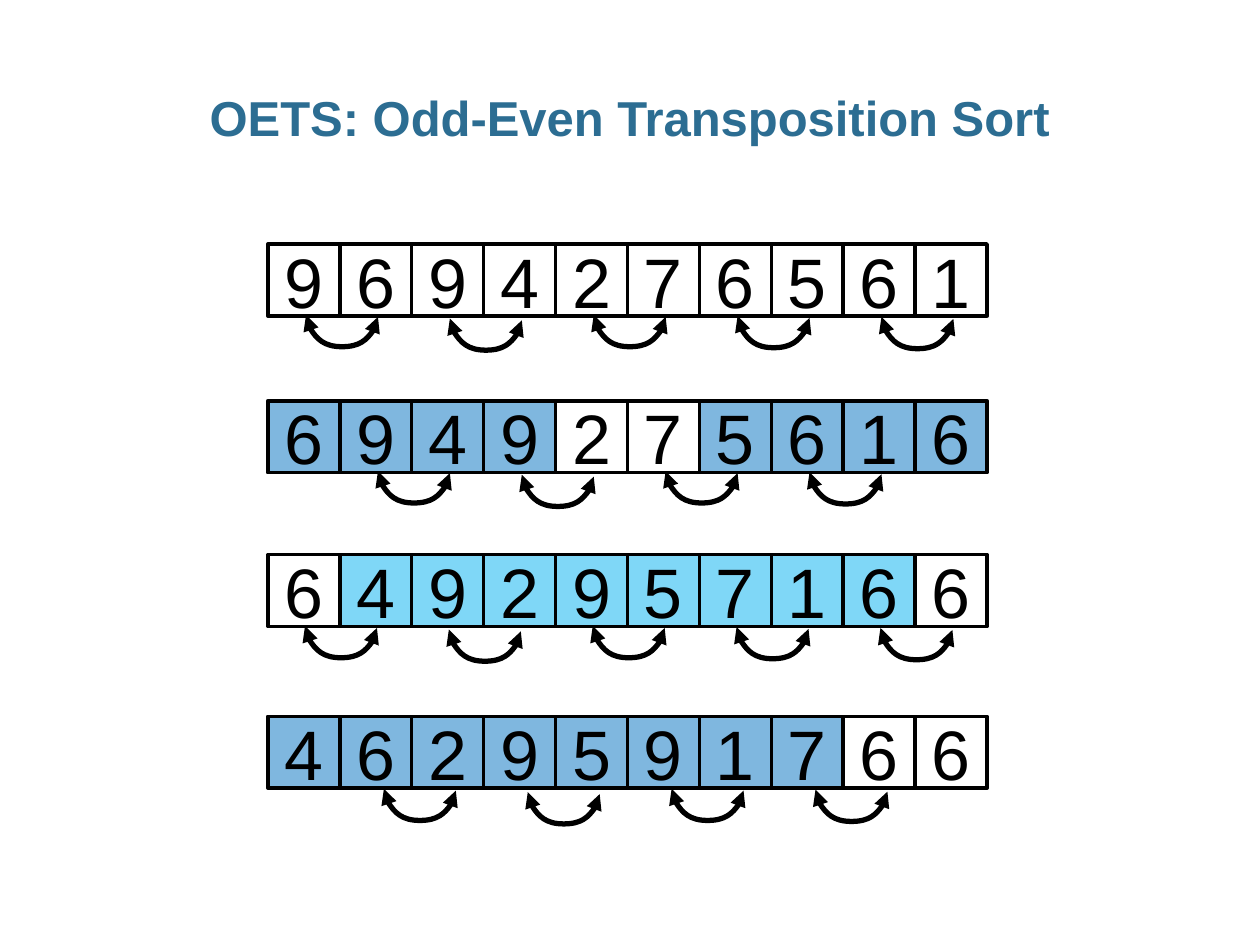
from dataclasses import dataclass

import pptx
import pptx.dml.color
import pptx.enum.shapes
import pptx.enum.text
import pptx.oxml
import pptx.oxml.ns
import pptx.util
from pptx.util import Cm

FONT = "Arial"
BLACK = "000000"
BLUE = "0070C0"
CYAN = "00B0F0"

CELL = 1.45          # side of an array cell, cm
ARRAY_LEFT = 5.4
ARC_RISE = 0.04      # how much lower an arc ends than it starts
ARC_DEPTH = 0.64
ARC_DROPS = (0, 0.07, 0, 0.02, 0.04)


@dataclass
class Phase:
    """One state of the array and the comparisons made on it (cm)."""
    values: str
    top: float
    swapped: range
    colour: str
    arc_left: float
    arc_top: float
    arc_count: int


PHASES = (
    Phase("9694276561", 4.92, range(0), BLUE, 6.17, 6.35, 5),
    Phase("6949275616", 8.08, range(10), BLUE, 7.62, 9.5, 4),
    Phase("6492957166", 11.18, range(1, 9), CYAN, 6.15, 12.62, 5),
    Phase("4629591766", 14.44, range(8), BLUE, 7.74, 15.9, 4),
)
UNSWAPPED = {("6949275616", 4), ("6949275616", 5)}


def rgb(colour: str) -> pptx.dml.color.RGBColor:
    return pptx.dml.color.RGBColor.from_string(colour)


def add_run(paragraph, text: str, size: float, colour: str, bold: bool = False) -> None:
    run = paragraph.add_run()
    run.text = text
    run.font.name = FONT
    run.font.size = pptx.util.Pt(size)
    run.font.bold = bold
    run.font.color.rgb = rgb(colour)
    paragraph.alignment = pptx.enum.text.PP_ALIGN.CENTER


def add_title(slide, text: str) -> None:
    title = slide.shapes.add_textbox(Cm(0.87), Cm(1.73), Cm(23.65), Cm(1.27))
    frame = title.text_frame
    frame.word_wrap = True
    frame.margin_left = frame.margin_right = 0
    frame.paragraphs[0].line_spacing = 0.95
    add_run(frame.paragraphs[0], text, 28, "2C6D92", bold=True)


def add_cell(slide, left: float, top: float, value: str, colour: str | None) -> None:
    cell = slide.shapes.add_shape(pptx.enum.shapes.MSO_SHAPE.RECTANGLE,
                                  Cm(left), Cm(top), Cm(CELL), Cm(CELL))
    cell.shadow.inherit = False
    cell.line.color.rgb = rgb(BLACK)
    cell.line.width = pptx.util.Pt(2)
    if colour is None:
        cell.fill.background()
    else:
        cell.fill.solid()
        cell.fill.fore_color.rgb = rgb(colour)
        # Half transparent
        tint = cell._element.spPr.find(
            pptx.oxml.ns.qn("a:solidFill") + "/" + pptx.oxml.ns.qn("a:srgbClr"))
        add_child(tint, "a:alpha", val="50000")
    cell.text_frame.vertical_anchor = pptx.enum.text.MSO_ANCHOR.MIDDLE
    add_run(cell.text_frame.paragraphs[0], value, 40, BLACK)


def add_child(parent, tag: str, **attributes: str) -> None:
    child = pptx.oxml.parse_xml(f"<{tag} {pptx.oxml.ns.nsdecls('a')}/>")
    for key, value in attributes.items():
        child.set(key, value)
    parent.append(child)


def add_swap_arc(slide, left: float, top: float) -> None:
    """Double-headed arc bowing downwards, one cell wide."""
    # A tall, narrow, mirrored curve turned by 270 degrees about its centre
    middle_x, middle_y = left + CELL / 2, top + ARC_RISE / 2
    arc = slide.shapes.add_connector(
        pptx.enum.shapes.MSO_CONNECTOR.CURVE,
        Cm(middle_x + ARC_RISE / 2), Cm(middle_y - CELL / 2),
        Cm(middle_x - ARC_RISE / 2), Cm(middle_y + CELL / 2))
    arc.line.color.rgb = rgb(BLACK)
    arc.line.width = pptx.util.Pt(3)
    properties = arc._element.spPr
    properties.xfrm.set("rot", str(270 * 60000))
    bend = round(ARC_DEPTH / ARC_RISE * 100000)
    guides = properties.find(
        pptx.oxml.ns.qn("a:prstGeom") + "/" + pptx.oxml.ns.qn("a:avLst"))
    add_child(guides, "a:gd", name="adj1", fmla=f"val {bend}")
    outline = properties.find(pptx.oxml.ns.qn("a:ln"))
    for end in ("a:headEnd", "a:tailEnd"):
        add_child(outline, end, type="triangle")
    add_child(properties, "a:effectLst")


def add_phase(slide, phase: Phase) -> None:
    for index, value in enumerate(phase.values):
        tinted = index in phase.swapped and (phase.values, index) not in UNSWAPPED
        add_cell(slide, ARRAY_LEFT + index * CELL, phase.top, value,
                 phase.colour if tinted else None)
    for index, drop in enumerate(ARC_DROPS[:phase.arc_count]):
        add_swap_arc(slide, phase.arc_left + index * 2 * CELL, phase.arc_top + drop)


def main() -> None:
    deck = pptx.Presentation()
    deck.slide_width, deck.slide_height = Cm(25.4), Cm(19.05)
    slide = deck.slides.add_slide(deck.slide_layouts[6])

    # Heading
    add_title(slide, "OETS: Odd-Even Transposition Sort")

    # Successive array states with their compared pairs
    for phase in PHASES:
        add_phase(slide, phase)

    deck.save("out.pptx")


if __name__ == "__main__":
    main()
